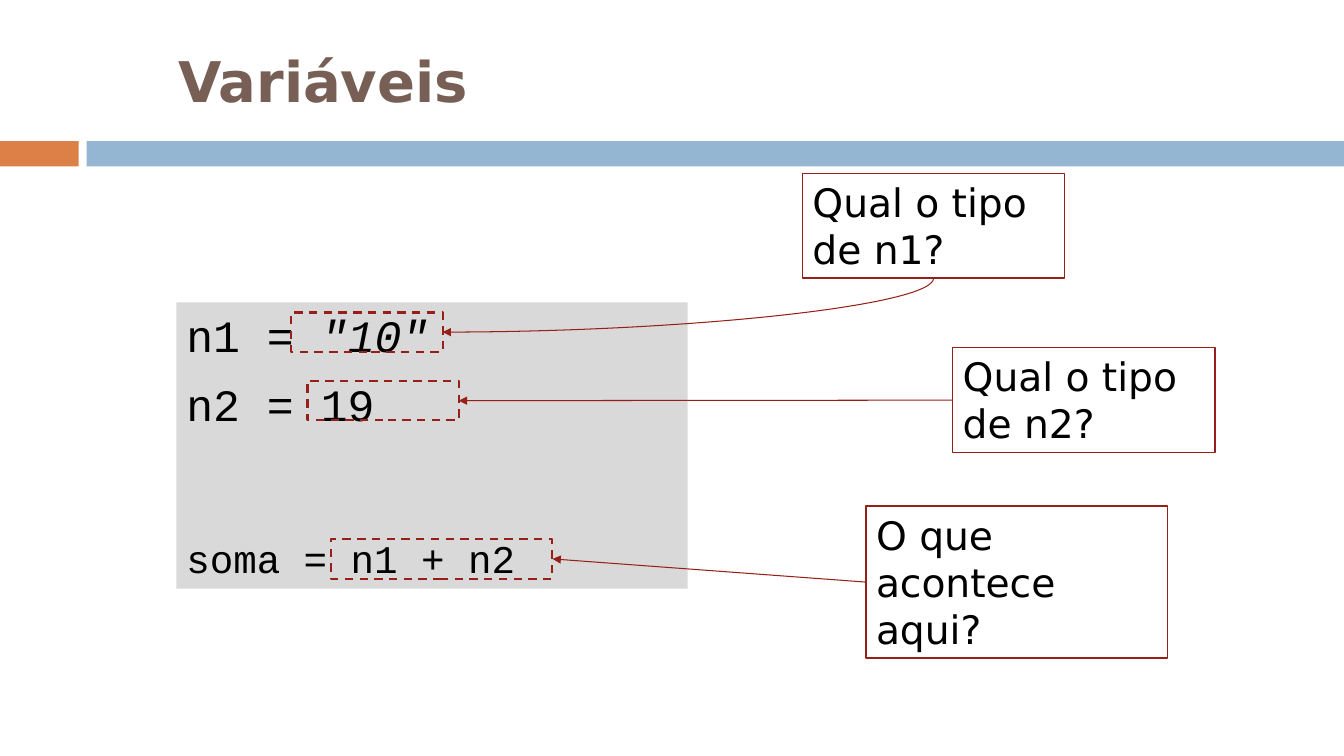
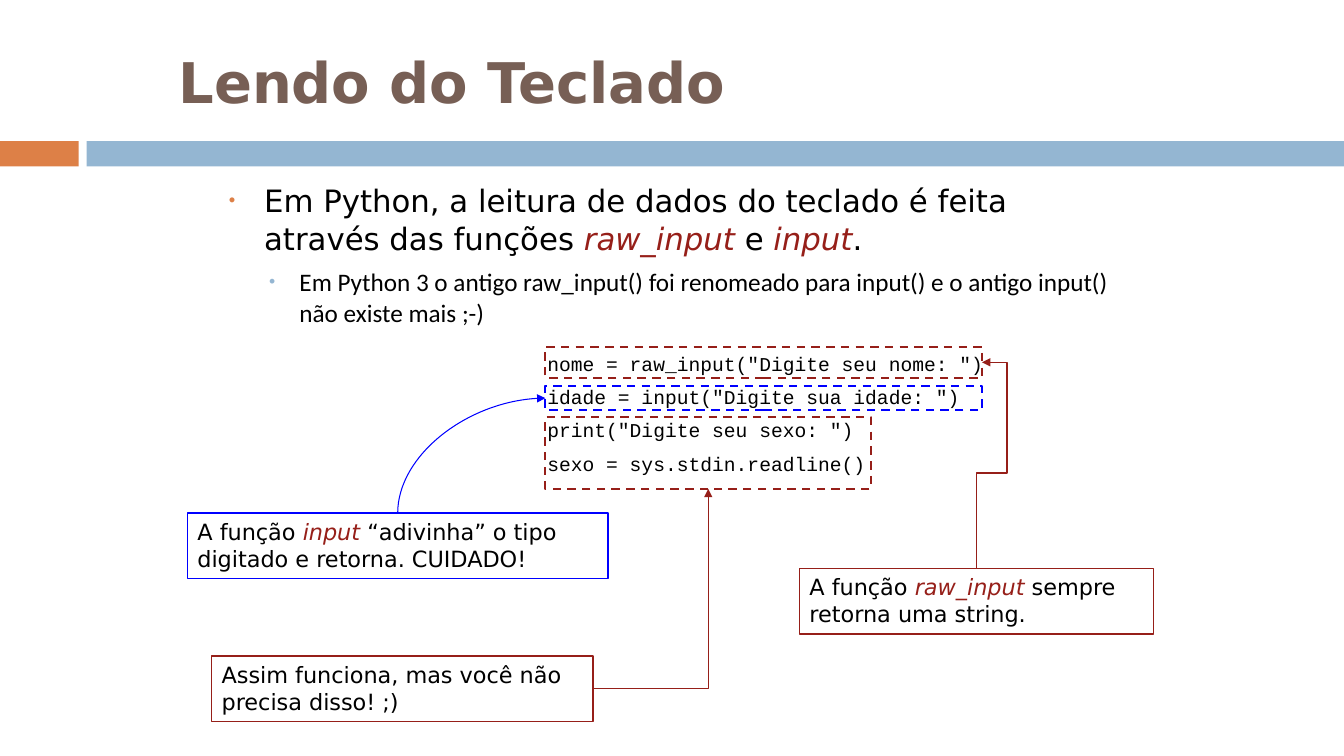
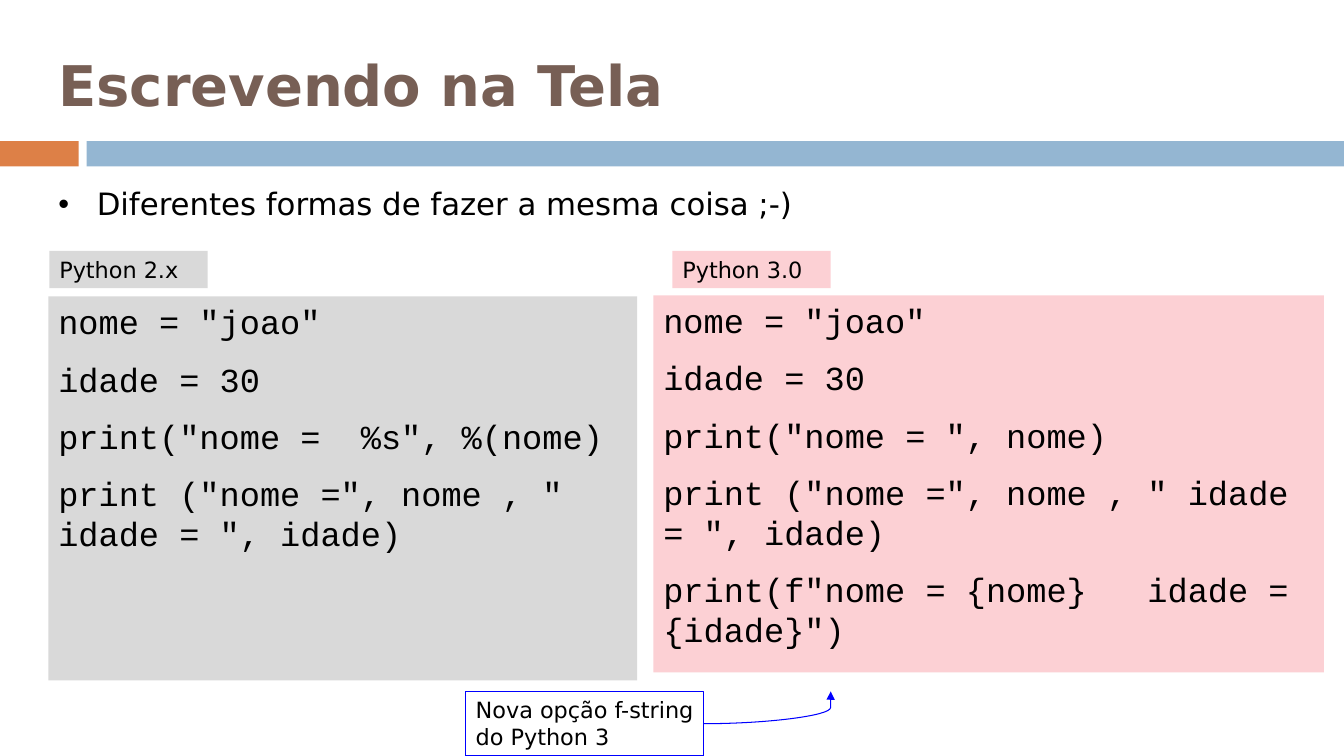
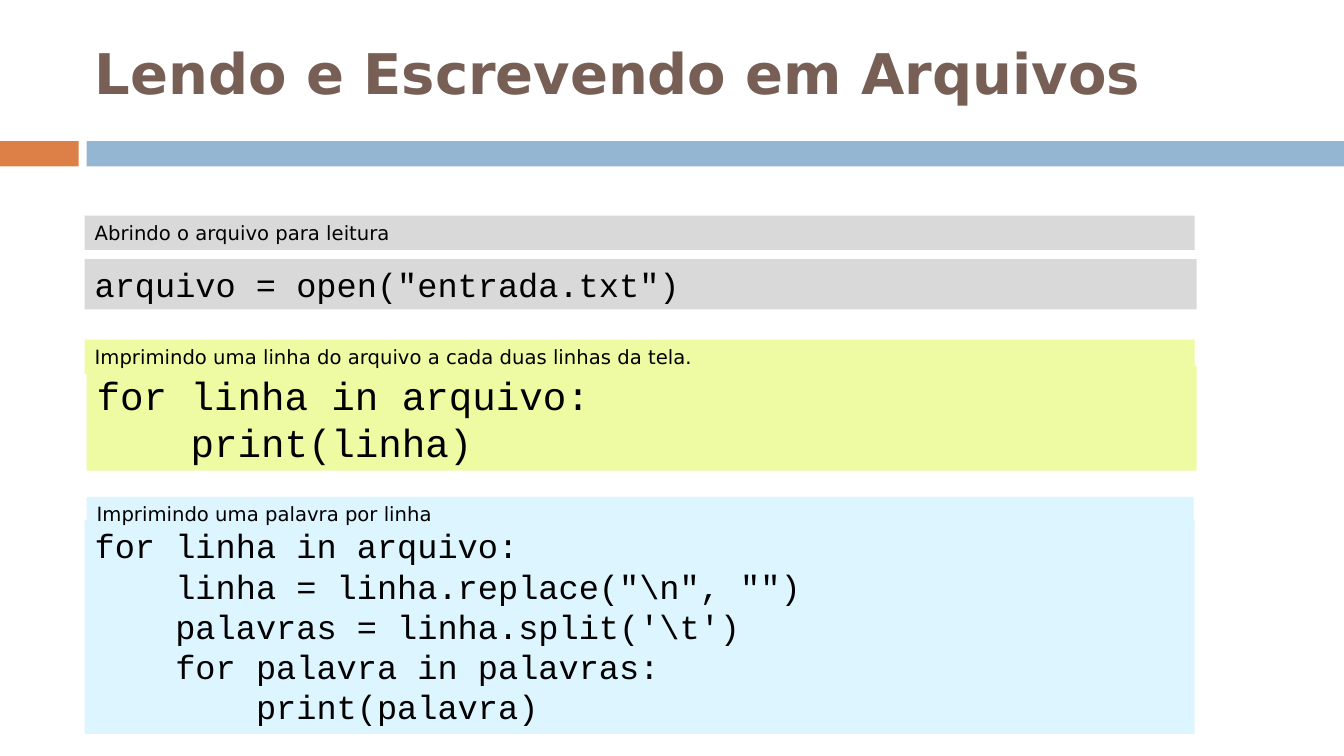
"""Build four Python lesson slides with code panels and callouts."""
from dataclasses import dataclass
from typing import Any, Optional

from lxml import etree
from pptx import Presentation
from pptx import util as u
from pptx.dml.color import RGBColor
from pptx.enum import dml, shapes, text
from pptx.oxml.ns import qn

HUES = {
    "ink": "000000", "paper": "FFFFFF", "title": "775F55", "orange": "DD8047",
    "steel": "94B6D2", "red": "961F19", "blue": "0000FF", "gray": "D9D9D9",
    "pink": "FCD0D4", "lime": "EEFBA3", "sky": "DDF5FF",
}
CELL = 0.1
TOP, LEFT, BASE, RIGHT = 0, 1, 2, 3
TOP = 0
SANS, MONO = "DejaVu Sans", "Courier New"


@dataclass(frozen=True)
class Type:
    """Typeface, size and marked-run colour of a text."""
    size: float
    name: str = SANS
    mark: str = "red"
    gap: float = 0


@dataclass(frozen=True)
class Box:
    """Rectangle in grid cells, with its text lines and look."""
    x: float
    y: float
    w: float
    h: float
    lines: tuple[str, ...] = ()
    type: Type = Type(16)
    fill: Optional[str] = None
    line: Optional[str] = None
    dash: bool = False


@dataclass(frozen=True)
class Link:
    """Connector from one box side to another side or grid point."""
    start: tuple[int, int]
    stop: tuple[float, float]
    kind: str = "line"
    tip: str = "headEnd"
    hue: str = "red"
    bends: tuple[int, ...] = ()
    free: bool = False


@dataclass(frozen=True)
class Item:
    """Bulleted paragraph of a body list."""
    words: str
    type: Type
    dent: float
    hang: float
    hue: str
    scale: int
    level: int = 0


def grid(cells: float) -> int:
    """Turn grid cells into slide units."""
    return u.Inches(round(cells * CELL, 3))


def hue(key: str) -> RGBColor:
    """Look up a named colour."""
    return RGBColor.from_string(HUES[key])


def style(obj: Any, form: dict[str, Any]) -> None:
    """Set each attribute listed in a format."""
    for key, val in form.items():
        setattr(obj, key, val)


def place(shape: Any, x: float, y: float, w: float, h: float) -> None:
    """Move and size a shape on the grid."""
    style(shape, {"left": grid(x), "top": grid(y), "width": grid(w), "height": grid(h)})


def write(para: Any, words: str, face: Type) -> None:
    """Add runs, with the parts between bars marked in italics."""
    for n, part in enumerate(words.split("|")):
        if part:
            run = para.add_run()
            run.text = part
            style(run.font, {"name": face.name, "size": u.Pt(face.size), "italic": n % 2 == 1})
            run.font.color.rgb = hue(face.mark if n % 2 else "ink")


def draw(slide: Any, box: Box) -> Any:
    """Draw a rectangle with its text."""
    rect = slide.shapes.add_shape(
        shapes.MSO_SHAPE.RECTANGLE, *map(grid, (box.x, box.y, box.w, box.h)))
    rect.shadow.inherit = False
    if box.fill:
        rect.fill.solid()
        rect.fill.fore_color.rgb = hue(box.fill)
    else:
        rect.fill.background()
    if box.line:
        rect.line.color.rgb = hue(box.line)
        rect.line.width = u.Pt(1.5 if box.dash else 1)
        if box.dash:
            rect.line.dash_style = dml.MSO_LINE.DASH
    else:
        rect.line.fill.background()
    frame = rect.text_frame
    style(frame, {"word_wrap": True, "vertical_anchor": text.MSO_ANCHOR.TOP})
    for n, words in enumerate(box.lines):
        para = frame.add_paragraph() if n else frame.paragraphs[0]
        style(para, {"alignment": text.PP_ALIGN.LEFT,
                     "space_before": u.Pt(box.type.gap if n else 0)})
        write(para, words, box.type)
    return rect


def join(slide: Any, link: Link, rects: list[Any]) -> None:
    """Draw a connector with an arrowhead at its tip."""
    line = slide.shapes.add_connector(shapes.MSO_CONNECTOR.STRAIGHT, 0, 0, 0, 0)
    line.begin_connect(rects[link.start[0]], link.start[1])
    if link.free:
        style(line, {"end_x": grid(link.stop[0]), "end_y": grid(link.stop[1])})
    else:
        line.end_connect(rects[int(link.stop[0])], int(link.stop[1]))
    line.line.color.rgb = hue(link.hue)
    line.line.width = u.Pt(0.75)
    props = line.element.spPr
    geom = props.find(qn("a:prstGeom"))
    geom.set("prst", link.kind)
    for n, bend in enumerate(link.bends, 1):
        etree.SubElement(geom.find(qn("a:avLst")), qn("a:gd"),
                         name=f"adj{n}", fmla=f"val {bend}")
    etree.SubElement(props.find(qn("a:ln")), qn(f"a:{link.tip}"), type="triangle")
    etree.SubElement(props, qn("a:effectLst"))


def head(slide: Any, words: str, x: float, y: float, w: float = 100, h: float = 12.5) -> None:
    """Fill and format the title placeholder."""
    title = slide.shapes.title
    place(title, x, y, w, h)
    frame = title.text_frame
    style(frame, {"text": words, "vertical_anchor": text.MSO_ANCHOR.MIDDLE,
                  "auto_size": text.MSO_AUTO_SIZE.NONE, "word_wrap": True})
    para = frame.paragraphs[0]
    style(para, {"alignment": text.PP_ALIGN.LEFT, "line_spacing": 1.02})
    font = para.runs[0].font
    style(font, {"name": SANS, "size": u.Pt(40), "bold": True})
    font.color.rgb = hue("title")


def body(slide: Any, items: list[Item], *area: float) -> None:
    """Fill the body placeholder with a bulleted list."""
    hold = slide.placeholders[1]
    place(hold, *area)
    frame = hold.text_frame
    style(frame, {"auto_size": text.MSO_AUTO_SIZE.NONE, "word_wrap": True})
    for n, item in enumerate(items):
        para = frame.add_paragraph() if n else frame.paragraphs[0]
        props = para._p.get_or_add_pPr()
        style(para, {"level": item.level, "line_spacing": 1.02,
                     "space_before": u.Pt(6.5 if n else 0)})
        props.set("marL", str(grid(item.dent)))
        props.set("indent", str(-grid(item.hang)))
        tint = etree.SubElement(props, qn("a:buClr"))
        etree.SubElement(tint, qn("a:srgbClr"), val=HUES[item.hue])
        etree.SubElement(props, qn("a:buSzPct"), val=str(item.scale * 1000))
        etree.SubElement(props, qn("a:buChar"), char="•")
        write(para, item.words, item.type)


def bands(deck: Any, slide: Any) -> None:
    """Put the two colour bands on the slide master."""
    for n, band in enumerate((Box(0, 14, 7.8, 2.5, fill="orange"),
                              Box(8.6, 14, 124.7, 2.5, fill="steel"))):
        rect = draw(slide, band)
        rect.element.nvSpPr.cNvPr.set("id", str(20 + n))
        deck.slide_master.shapes.element.append(rect.element)


def fill(slide: Any, boxes: list[Box], links: tuple[Link, ...] = ()) -> list[Any]:
    """Draw boxes and then the links between them."""
    rects = [draw(slide, box) for box in boxes]
    for link in links:
        join(slide, link, rects)
    return rects


def vars_page(slide: Any) -> None:
    """Build the slide on variables."""
    head(slide, "Variáveis", 16.7, 0.6, h=14.6)
    ask = {"type": Type(28), "fill": "paper", "line": "red"}
    ring = {"line": "red", "dash": True}
    code = Type(32, MONO, "ink", 11.2)
    rects = fill(slide, [
        Box(17.5, 30, 50.7, 28.4, ('n1 = |"10"|', "n2 = 19", "soma = n1 + n2"), code, "gray"),
        Box(28.9, 31, 15, 3.9, **ring),
        Box(30.5, 37.8, 15, 3.9, **ring),
        Box(32.8, 53.5, 22, 3.9, **ring),
        Box(79.6, 17.2, 26, 10.4, ("Qual o tipo de n1?",), **ask),
        Box(94.5, 34.5, 26, 10.4, ("Qual o tipo de n2?",), **ask),
        Box(85.9, 50.2, 29.9, 15.1, ("O que acontece aqui?",), **ask),
    ], (
        Link((1, RIGHT), (4, BASE), "curvedConnector2"),
        Link((2, RIGHT), (5, LEFT)),
        Link((3, RIGHT), (6, LEFT)),
    ))
    total = rects[0].text_frame.paragraphs[-1]
    total.space_before = u.Pt(74)
    total.runs[0].font.size = u.Pt(28)


def read_page(slide: Any) -> None:
    """Build the slide on keyboard input."""
    head(slide, "Lendo do Teclado", 16.7, 1.7)
    body(slide, [
        Item("Em Python, a leitura de dados do teclado é feita através das funções "
             "|raw_input |e |input|.", Type(22), 3.5, 3.5, "orange", 60),
        Item("Em Python 3 o antigo raw_input() foi renomeado para input() e o antigo "
             "input() não existe mais ;-)", Type(18, "Calibri"), 7, 3, "steel", 70, 1),
    ], 21.7, 17.5, 90, 11.3)
    fill(slide, [
        Box(53.3, 34.4, 59.8, 14, (
            'nome = raw_input("Digite seu nome: ")',
            'idade = input("Digite sua idade: ")',
            'print("Digite seu sexo: ")',
            "sexo = sys.stdin.readline()"), Type(14, MONO, gap=7)),
        Box(54.1, 34.4, 43.3, 3.1, line="red", dash=True),
        Box(54.1, 38.3, 43.3, 2.4, line="blue", dash=True),
        Box(54.1, 41.4, 32.3, 7.1, line="red", dash=True),
        Box(79.3, 56.4, 35.1, 6.5, ("A função |raw_input| sempre retorna uma string.",),
            fill="paper", line="red"),
        Box(18.6, 50.9, 41.7, 6.5,
            ("A função |input| “adivinha” o tipo digitado e retorna. CUIDADO!",),
            fill="paper", line="blue"),
        Box(21, 65.1, 37.8, 6.5, ("Assim funciona, mas você não precisa disso! ;)",),
            fill="paper", line="red"),
    ], (
        Link((1, RIGHT), (4, TOP), "bentConnector4", bends=(-450000, 53700)),
        Link((2, LEFT), (5, TOP), "curvedConnector2", hue="blue"),
        Link((6, RIGHT), (3, BASE), "bentConnector2", "tailEnd"),
    ))


def print_page(slide: Any) -> None:
    """Build the slide on screen output."""
    head(slide, "Escrevendo na Tela", 4.8, 2)
    body(slide, [Item("Diferentes formas de fazer a mesma coisa ;-)", Type(22),
                      3.8, 3.8, "ink", 100)], 4.8, 17.8, 90, 7.4)
    code = Type(24, MONO, gap=12)
    start = ('nome = "joao"', "idade = 30")
    both = 'print ("nome =", nome , " idade = ", idade)'
    fill(slide, [
        Box(4.8, 29.4, 58.4, 38.1, (*start, 'print("nome =  %s", %(nome)', both), code, "gray"),
        Box(64.8, 29.3, 66.5, 37.4, (
            *start, 'print("nome = ", nome)', both,
            'print(f"nome = {nome}   idade = {idade}")'), code, "pink"),
        Box(4.9, 24.9, 15.7, 3.7, ("Python 2.x",), fill="gray"),
        Box(66.7, 24.9, 15.7, 3.7, ("Python 3.0",), fill="pink"),
        Box(46.2, 68.6, 23.6, 6.4, ("Nova opção f-string do Python 3",),
            fill="paper", line="blue"),
    ], (Link((4, RIGHT), (82.4, 68.6), "curvedConnector3", "tailEnd", "blue", (99900,), True),))


def file_page(slide: Any) -> None:
    """Build the slide on files."""
    head(slide, "Lendo e Escrevendo em Arquivos", 8.4, 0.8, 118.4)
    code, big, note = Type(24, MONO), Type(28, MONO), Type(14)
    loop = "for linha in arquivo:"
    fill(slide, [
        Box(8.4, 25.7, 110.3, 5, ('arquivo = open("entrada.txt")',), code, "gray"),
        Box(8.6, 36.3, 110.1, 10.4, (loop, "    print(linha)"), big, "lime"),
        Box(8.4, 51.6, 110.1, 21.2, (
            loop,
            r'    linha = linha.replace("\n", "")',
            r"    palavras = linha.split('\t')",
            "    for palavra in palavras:",
            "        print(palavra)"), code, "sky"),
        Box(8.4, 21.4, 110.1, 3.4, ("Abrindo o arquivo para leitura",), note, "gray"),
        Box(8.4, 33.7, 110.1, 3.4,
            ("Imprimindo uma linha do arquivo a cada duas linhas da tela.",), note, "lime"),
        Box(8.6, 49.3, 109.8, 3.4, ("Imprimindo uma palavra por linha",), note, "sky"),
    ])


def main() -> None:
    """Build and save the deck."""
    deck = Presentation()
    style(deck, {"slide_width": u.Inches(13.33), "slide_height": u.Inches(7.5)})
    plain, listed = deck.slide_layouts[5], deck.slide_layouts[1]
    pages = ((vars_page, plain), (read_page, listed), (print_page, listed), (file_page, plain))
    for n, (page, layout) in enumerate(pages):
        slide = deck.slides.add_slide(layout)
        if n == 0:
            bands(deck, slide)
        page(slide)
    deck.save("out.pptx")


if __name__ == "__main__":
    main()
